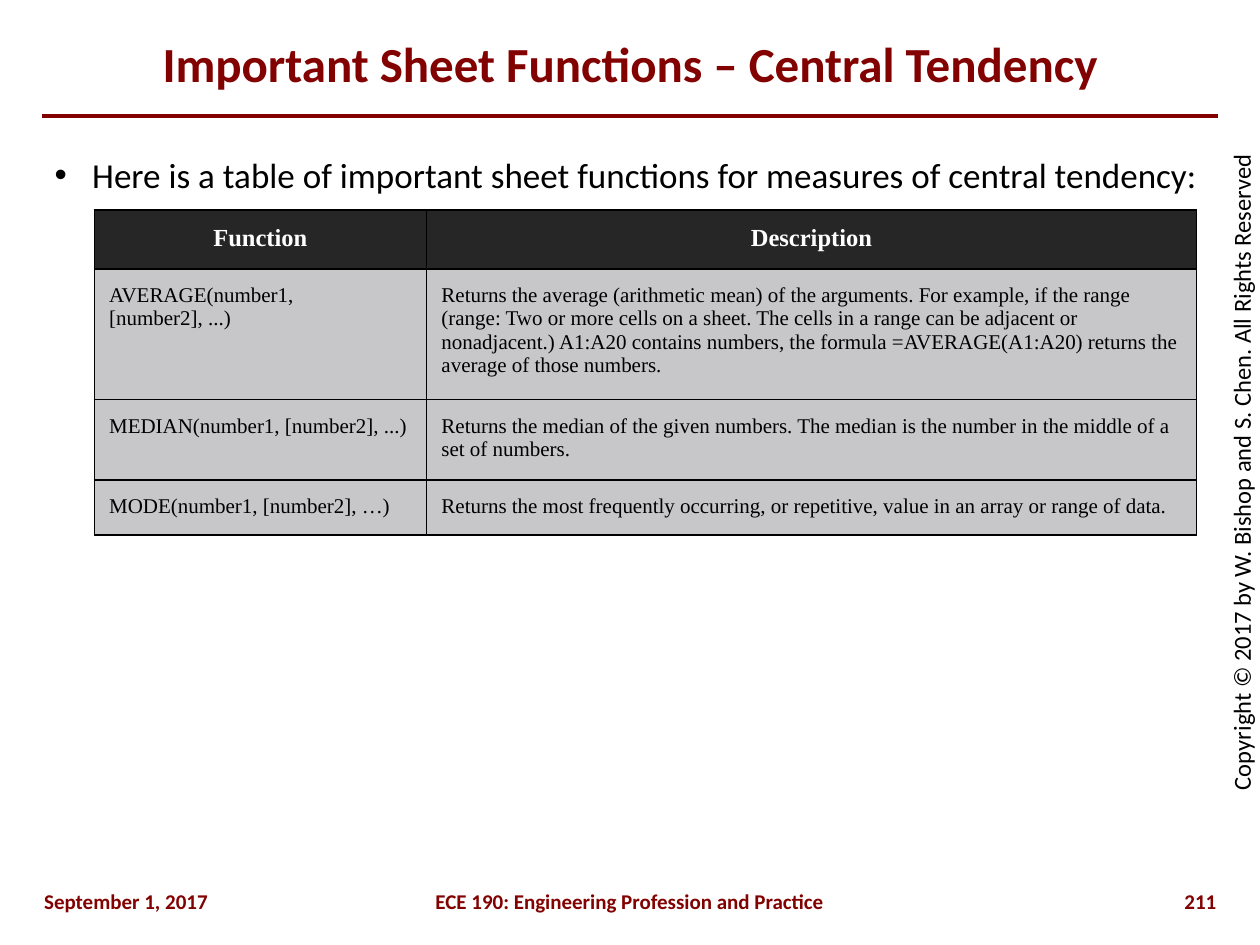
from dataclasses import dataclass

from pptx import Presentation
from pptx.dml.color import RGBColor
from pptx.enum.shapes import MSO_CONNECTOR
from pptx.enum.text import MSO_ANCHOR, MSO_AUTO_SIZE, PP_ALIGN
from pptx.oxml.ns import qn
from pptx.util import Cm, Pt
from lxml.etree import SubElement


@dataclass(frozen=True)
class Theme:
    """Colours, fonts and type sizes of the slide."""
    accent: str = "820101"
    text: str = "000000"
    header_text: str = "FFFFFF"
    header_fill: str = "262626"
    body_fill: str = "C7C7CA"
    border: str = "000000"
    font: str = "Calibri"
    table_font: str = "Times New Roman"
    title_size: int = 28
    body_size: int = 20
    small_size: int = 14
    footer_size: int = 12


THEME = Theme()
TABLE_ROWS = [
    ("Function", "Description"),
    ("AVERAGE(number1, [number2], ...)",
     "Returns the average (arithmetic mean) of the arguments. For example, if the range "
     "(range: Two or more cells on a sheet. The cells in a range can be adjacent or "
     "nonadjacent.) A1:A20 contains numbers, the formula =AVERAGE(A1:A20) returns the "
     "average of those numbers."),
    ("MEDIAN(number1, [number2], ...)",
     "Returns the median of the given numbers. The median is the number in the middle of a "
     "set of numbers."),
    ("MODE(number1, [number2], …)",
     "Returns the most frequently occurring, or repetitive, value in an array or range of data."),
]


def set_attributes(target, values):
    """Set each named attribute of the target."""
    for name, value in values.items():
        setattr(target, name, value)


def write_text(frame, text, size, color, font=THEME.font, bold=False, align=PP_ALIGN.LEFT):
    """Write one formatted paragraph into a text frame."""
    paragraph = frame.paragraphs[0]
    paragraph.text = text
    paragraph.alignment = align
    run_font = paragraph.runs[0].font
    set_attributes(run_font, {"name": font, "size": Pt(size), "bold": bold})
    run_font.color.rgb = RGBColor.from_string(color)
    return paragraph


def add_title(slide, text):
    """Place and format the title placeholder."""
    title = slide.shapes.title
    set_attributes(title, {"left": Cm(0.85), "top": Cm(0.42),
                           "width": Cm(23.7), "height": Cm(1.7)})
    set_attributes(title.text_frame, {"vertical_anchor": MSO_ANCHOR.MIDDLE,
                                      "auto_size": MSO_AUTO_SIZE.NONE})
    write_text(title.text_frame, text, THEME.title_size, THEME.accent,
               bold=True, align=PP_ALIGN.CENTER)


def add_rule(slide):
    """Draw the line below the title."""
    rule = slide.shapes.add_connector(MSO_CONNECTOR.STRAIGHT,
                                      Cm(0.85), Cm(2.33), Cm(24.55), Cm(2.33))
    rule.line.color.rgb = RGBColor.from_string(THEME.accent)
    rule.line.width = Pt(2.25)
    SubElement(rule.element.spPr, qn("a:effectLst"))


def add_text(slide, box, text, size, color, rotation=0, **formats):
    """Add a wrapping text box with one paragraph."""
    shape = slide.shapes.add_textbox(*map(Cm, box))
    shape.rotation = rotation
    shape.text_frame.word_wrap = True
    return write_text(shape.text_frame, text, size, color, **formats)


def add_bullet(slide, box, text):
    """Add a text box with one bulleted paragraph."""
    paragraph = add_text(slide, box, text, THEME.body_size, THEME.text)
    properties = paragraph._p.get_or_add_pPr()
    properties.set("marL", str(Cm(0.76)))
    properties.set("indent", str(Cm(-0.76)))
    SubElement(properties, qn("a:buFont"), typeface="Arial")
    SubElement(properties, qn("a:buChar"), char="•")
    paragraph.space_after = Pt(5)


def add_borders(cell):
    """Draw a thin line on all four sides of a cell."""
    properties = cell._tc.get_or_add_tcPr()
    for side in ("lnL", "lnR", "lnT", "lnB"):
        line = SubElement(properties, qn(f"a:{side}"), w=str(Pt(1)))
        fill = SubElement(line, qn("a:solidFill"))
        SubElement(fill, qn("a:srgbClr"), val=THEME.border)


def format_cell(cell, text, is_header):
    """Fill a header or body cell with its text and colours."""
    add_borders(cell)
    cell.fill.solid()
    fill = THEME.header_fill if is_header else THEME.body_fill
    cell.fill.fore_color.rgb = RGBColor.from_string(fill)
    sides = ("left", "right", "top", "bottom")
    set_attributes(cell, {f"margin_{side}": Cm(0.3) for side in sides})
    write_text(cell.text_frame, text,
               THEME.small_size if is_header else THEME.footer_size,
               THEME.header_text if is_header else THEME.text,
               font=THEME.table_font, bold=is_header,
               align=PP_ALIGN.CENTER if is_header else PP_ALIGN.LEFT)


def add_function_table(slide):
    """Add the table of functions and descriptions."""
    widths = (6.7, 15.52)
    row_height = 1.04
    table = slide.shapes.add_table(len(TABLE_ROWS), len(widths), Cm(1.9), Cm(4.23),
                                   Cm(sum(widths)), Cm(row_height * len(TABLE_ROWS))).table
    for column, width in zip(table.columns, widths):
        column.width = Cm(width)
    for row_index, texts in enumerate(TABLE_ROWS):
        table.rows[row_index].height = Cm(row_height)
        for column_index, text in enumerate(texts):
            format_cell(table.cell(row_index, column_index), text, row_index == 0)


def add_footer(slide):
    """Add the date, course name and slide number."""
    for left, width, text, align in (
        (0.64, 4.45, "September 1, 2017", PP_ALIGN.LEFT),
        (4.23, 16.93, "ECE 190: Engineering Profession and Practice", PP_ALIGN.CENTER),
        (21.59, 3.18, "211", PP_ALIGN.RIGHT),
    ):
        add_text(slide, (left, 17.78, width, 0.64), text, THEME.footer_size,
                 THEME.accent, bold=True, align=align)


def main():
    """Build and save the slide."""
    presentation = Presentation()
    set_attributes(presentation, {"slide_width": Cm(25.4), "slide_height": Cm(19.05)})
    slide = presentation.slides.add_slide(presentation.slide_layouts[5])
    add_rule(slide)
    add_title(slide, "Important Sheet Functions – Central Tendency")
    add_text(slide, (15.93, 9.09, 18.2, 0.86),
             "Copyright © 2017 by W. Bishop and S. Chen. All Rights Reserved",
             THEME.small_size, THEME.text, rotation=270, align=PP_ALIGN.CENTER)
    add_bullet(slide, (0.85, 2.96, 23.7, 14.18),
               "Here is a table of important sheet functions for measures of central tendency:")
    add_function_table(slide)
    add_footer(slide)
    presentation.save("out.pptx")


if __name__ == "__main__":
    main()
